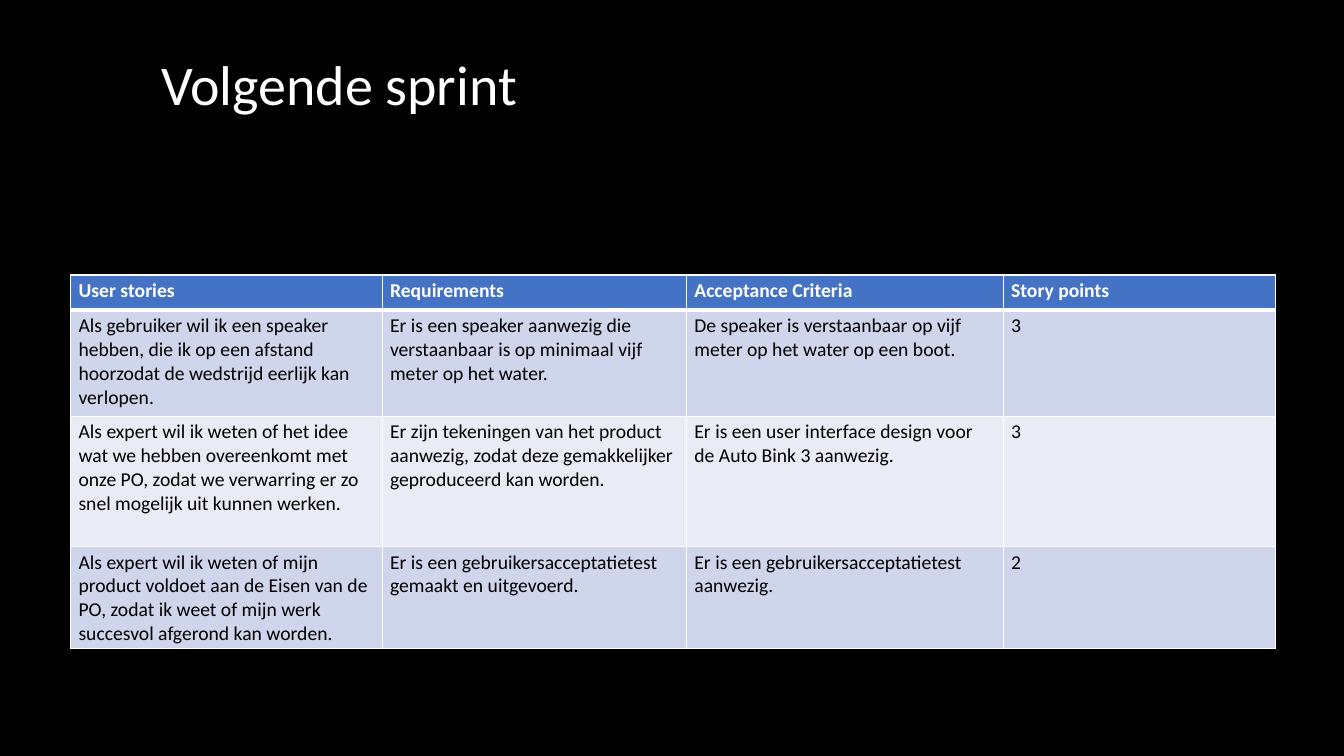
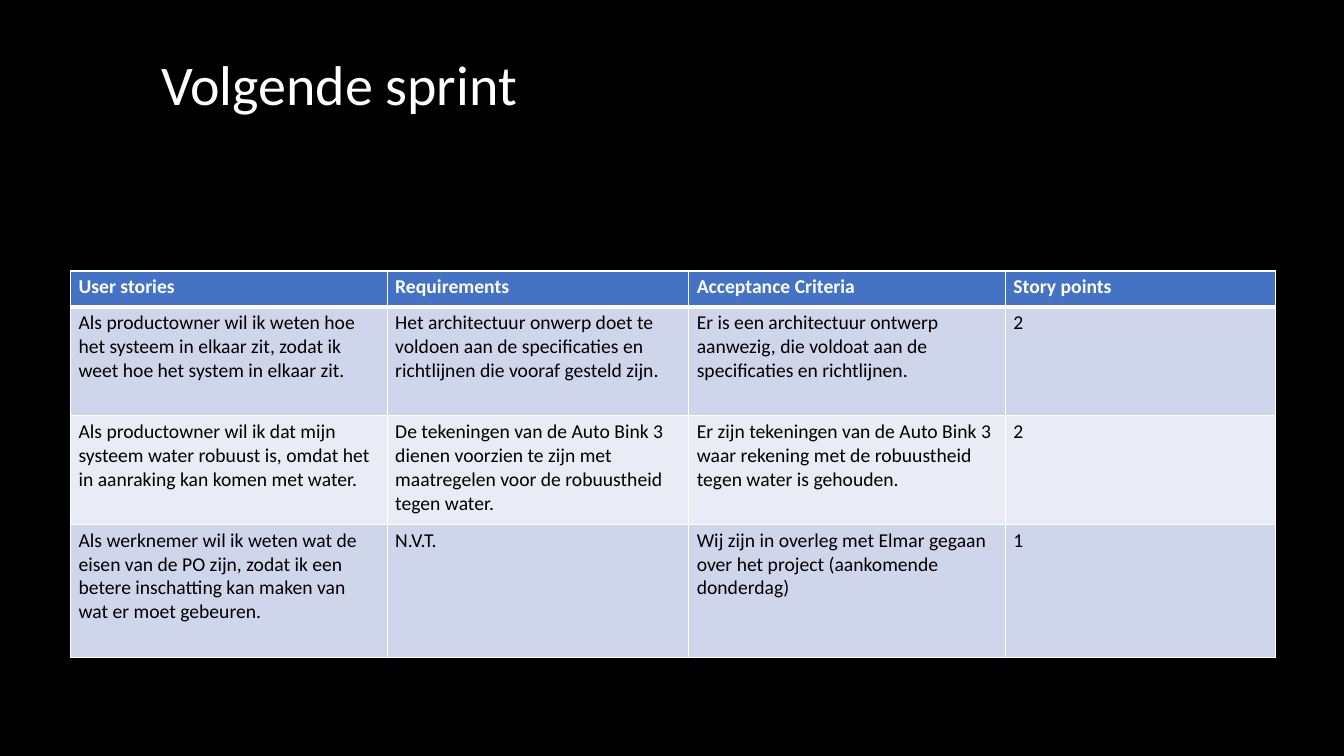
from dataclasses import dataclass

from lxml import etree
from pptx import Presentation
from pptx.dml.color import RGBColor
from pptx.enum.text import MSO_ANCHOR
from pptx.oxml.ns import qn
from pptx.util import Cm, Pt

MIDDLE = MSO_ANCHOR.MIDDLE


@dataclass(frozen=True)
class Theme:
    font: str = "Calibri"
    background: str = "000000"
    light: str = "FFFFFF"
    dark: str = "000000"
    header: str = "4472C4"
    bands: tuple = ("CFD5EA", "E9EBF5")
    title_size: int = 40
    table_size: int = 14
    border: int = 1
    header_rule: int = 3


THEME = Theme()
TITLE = "Volgende sprint"
TABLE_LEFT = 1.78
HEADINGS = ("User stories", "Requirements", "Acceptance Criteria", "Story points")

# Lengths in centimetres.
SPRINTS = (
    {
        "top": 6.93,
        "widths": (7.85, 7.67, 7.98, 6.86),
        "heights": (0.89, 2.67, 3.28, 2.49),
        "stories": (
            ("Als gebruiker wil ik een speaker hebben, die ik op een afstand "
             "hoorzodat de wedstrijd eerlijk kan verlopen.",
             "Er is een speaker aanwezig die verstaanbaar is op minimaal vijf "
             "meter op het water.",
             "De speaker is verstaanbaar op vijf meter op het water op een boot.",
             "3"),
            ("Als expert wil ik weten of het idee wat we hebben overeenkomt met "
             "onze PO, zodat we verwarring er zo snel mogelijk uit kunnen werken.",
             "Er zijn tekeningen van het product aanwezig, zodat deze "
             "gemakkelijker geproduceerd kan worden.",
             "Er is een user interface design voor de Auto Bink 3 aanwezig.",
             "3"),
            ("Als expert wil ik weten of mijn product voldoet aan de Eisen van de "
             "PO, zodat ik weet of mijn werk succesvol afgerond kan worden.",
             "Er is een gebruikersacceptatietest gemaakt en uitgevoerd.",
             "Er is een gebruikersacceptatietest aanwezig.",
             "2"),
        ),
    },
    {
        "top": 6.83,
        "widths": (7.98, 7.6, 7.98, 6.8),
        "heights": (0.91, 2.74, 2.74, 3.35),
        "stories": (
            ("Als productowner wil ik weten hoe het systeem in elkaar zit, zodat "
             "ik weet hoe het system in elkaar zit.",
             "Het architectuur onwerp doet te voldoen aan de specificaties en "
             "richtlijnen die vooraf gesteld zijn.",
             "Er is een architectuur ontwerp aanwezig, die voldoat aan de "
             "specificaties en richtlijnen.",
             "2"),
            ("Als productowner wil ik dat mijn systeem water robuust is, omdat "
             "het in aanraking kan komen met water.",
             "De tekeningen van de Auto Bink 3 dienen voorzien te zijn met "
             "maatregelen voor de robuustheid tegen water.",
             "Er zijn tekeningen van de Auto Bink 3 waar rekening met de "
             "robuustheid tegen water is gehouden.",
             "2"),
            ("Als werknemer wil ik weten wat de eisen van de PO zijn, zodat ik een "
             "betere inschatting kan maken van wat er moet gebeuren.",
             "N.V.T.",
             "Wij zijn in overleg met Elmar gegaan over het project (aankomende "
             "donderdag)",
             "1"),
        ),
    },
)


def rgb(color):
    return RGBColor.from_string(color)


def write_text(tf, text, *, size, color, bold=False, spacing=None):
    p = tf.paragraphs[0]
    if spacing:
        p.line_spacing = spacing
    r = p.add_run()
    r.text = text
    r.font.name = THEME.font
    r.font.size = Pt(size)
    r.font.bold = bold
    r.font.color.rgb = rgb(color)


def add_slide(prs):
    s = prs.slides.add_slide(prs.slide_layouts[6])
    fill = s.background.fill
    fill.solid()
    fill.fore_color.rgb = rgb(THEME.background)
    return s


def add_title(s, text):
    tf = s.shapes.add_textbox(Cm(3.81), Cm(0.97), Cm(27.89), Cm(2.44)).text_frame
    tf.word_wrap = True
    tf.vertical_anchor = MIDDLE
    write_text(tf, text, size=THEME.title_size, color=THEME.light, spacing=0.9)


def set_borders(cell, top, bottom):
    """Draw all four cell edges; top and bottom are widths in points."""
    tc_pr = cell._tc.get_or_add_tcPr()
    edges = {"lnL": THEME.border, "lnR": THEME.border, "lnT": top, "lnB": bottom}
    for i, (edge, width) in enumerate(edges.items()):
        ln = etree.Element(qn(f"a:{edge}"), w=str(Pt(width)))
        fill = etree.SubElement(ln, qn("a:solidFill"))
        etree.SubElement(fill, qn("a:srgbClr"), val=THEME.light)
        tc_pr.insert(i, ln)


def format_cell(cell, text, row):
    is_header = row == 0
    cell.margin_left = cell.margin_right = Cm(0.2)
    cell.margin_top = cell.margin_bottom = Cm(0.1)
    cell.fill.solid()
    cell.fill.fore_color.rgb = rgb(
        THEME.header if is_header else THEME.bands[(row - 1) % 2])
    set_borders(cell,
                top=THEME.header_rule if row == 1 else THEME.border,
                bottom=THEME.header_rule if is_header else THEME.border)
    write_text(cell.text_frame, text, size=THEME.table_size, bold=is_header,
               color=THEME.light if is_header else THEME.dark)


def add_story_table(s, top, widths, heights, stories):
    table = s.shapes.add_table(
        len(heights), len(widths), Cm(TABLE_LEFT), Cm(top),
        Cm(sum(widths)), Cm(sum(heights))).table
    for column, width in zip(table.columns, widths):
        column.width = Cm(width)
    for row, height in zip(table.rows, heights):
        row.height = Cm(height)
    for i, texts in enumerate((HEADINGS, *stories)):
        for j, text in enumerate(texts):
            format_cell(table.cell(i, j), text, i)


def main():
    prs = Presentation()
    prs.slide_width, prs.slide_height = Cm(33.87), Cm(19.05)
    for sprint in SPRINTS:
        s = add_slide(prs)
        add_title(s, TITLE)
        add_story_table(s, **sprint)
    prs.save("out.pptx")


if __name__ == "__main__":
    main()
